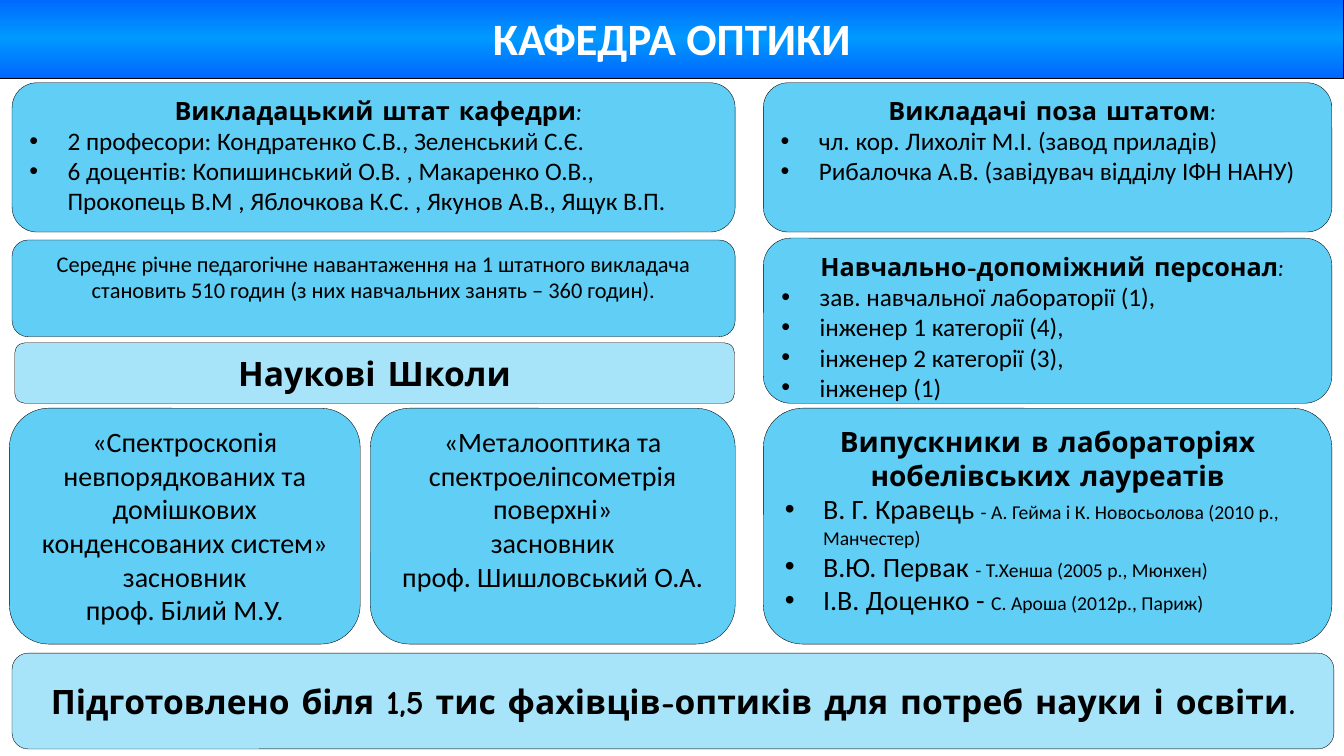
from copy import deepcopy
from lxml.etree import SubElement as Sub
from pptx import Presentation
from pptx.dml.color import RGBColor
from pptx.enum.shapes import MSO_SHAPE as Form
from pptx.enum.text import MSO_ANCHOR as Anchor, PP_ALIGN as Align
from pptx.oxml.ns import qn
from pptx.util import Inches, Pt

WIDE, HIGH = Inches(13.33), Inches(7.5)
LEFT, MID, RIGHT = 0.9, 27.55, 56.8
HALF, SIDE = 53.8, 42.3
TOP, NEXT, LOW = 10.95, 31.5, 54
SHORT, TALL = 19.75, 31.2
SOFT, FULL = 34, 62
BODY, HEAD = "Calibri", "Comic Neue"


def paint(part, code):
    part.rgb = RGBColor.from_string(code)


def shape(slide, form, left, top, width, height, line):
    item = slide.shapes.add_shape(
        form, int(WIDE * left / 100), int(HIGH * top / 100),
        int(WIDE * width / 100), int(HIGH * height / 100))
    item.shadow.inherit = False
    paint(item.line.color, "000000")
    item.line.width = Pt(line)
    item.text_frame.word_wrap = True
    return item


def card(slide, left, top, width, height, alpha=FULL):
    item = shape(slide, Form.ROUNDED_RECTANGLE, left, top, width, height, 0.25)
    item.fill.solid()
    paint(item.fill.fore_color, "00B0F0")
    tint = item.fill.fore_color._xFill.find(qn("a:srgbClr"))
    Sub(tint, qn("a:alpha")).set("val", str(alpha * 1000))
    item.text_frame.vertical_anchor = Anchor.TOP
    return item.text_frame


def start(frame):
    first = frame.paragraphs[0]
    return frame.add_paragraph() if first.runs else first


def write(para, text, size, font=BODY, bold=False, code="000000"):
    run = para.add_run()
    run.text = text
    run.font.size = Pt(size)
    run.font.name = font
    run.font.bold = bold
    paint(run.font.color, code)


def center(frame, text, size, font=BODY, bold=False, code="000000"):
    para = start(frame)
    para.alignment = Align.CENTER
    write(para, text, size, font, bold, code)


def bullet(frame, *runs):
    para = start(frame)
    para.alignment = Align.LEFT
    props = para._p.get_or_add_pPr()
    props.set("marL", str(Inches(0.38)))
    props.set("indent", str(-Inches(0.38)))
    Sub(props, qn("a:buFont")).set("typeface", "Arial")
    Sub(props, qn("a:buChar")).set("char", "•")
    for text, size in runs:
        write(para, text, size)


def banner(slide, text):
    item = shape(slide, Form.RECTANGLE, 0, -0.4, 100, 10.8, 0.75)
    item.fill.gradient()
    item.fill.gradient_angle = 90
    for stop, spot in zip(item.fill.gradient_stops, (0, 1)):
        paint(stop.color, "0066FF")
        stop.position = spot
    first = next(item._element.iter(qn("a:gs")))
    first.addnext(deepcopy(first))
    core = item.fill.gradient_stops[1]
    paint(core.color, "0099FF")
    core.position = 0.5
    item.text_frame.vertical_anchor = Anchor.MIDDLE
    center(item.text_frame, text, 32, bold=True, code="FFFFFF")


def strip(slide, left, top, width, height, text):
    frame = card(slide, left, top, width, height, SOFT)
    frame.vertical_anchor = Anchor.MIDDLE
    frame.word_wrap = False
    center(frame, text, 24, HEAD, True)


def school(slide, left, width, *lines):
    frame = card(slide, left, LOW, width, TALL)
    for line in lines:
        center(frame, line, 20)


def group(slide, left, top, width, height, title, *items):
    frame = card(slide, left, top, width, height)
    center(frame, title, 18, HEAD, True)
    for item in items:
        bullet(frame, (item, 18))


def alumni(slide, title, *people):
    frame = card(slide, RIGHT, LOW, SIDE, TALL)
    center(frame, title, 20, HEAD, True)
    for name, place in people:
        bullet(frame, (name, 20), (place, 14))


def main():
    deck = Presentation()
    deck.slide_width, deck.slide_height = WIDE, HIGH
    slide = deck.slides.add_slide(deck.slide_layouts[6])
    banner(slide, "КАФЕДРА ОПТИКИ")
    strip(slide, LEFT, 86.4, 98.35, 12.67,
          "Підготовлено біля 1,5 тис фахівців-оптиків для потреб науки і освіти.")
    alumni(slide, "Випускники в лабораторіях нобелівських лауреатів",
           ("В. Г. Кравець ", "- А. Гейма і К. Новосьолова (2010 р., Манчестер)"),
           ("В.Ю. Первак ", "- Т.Хенша (2005 р., Мюнхен)"),
           ("І.В. Доценко - ", "С. Ароша (2012р., Париж)"))
    strip(slide, 1.1, 45.35, 53.55, 8, "Наукові Школи")
    school(slide, 0.7, 26.1,
           "«Спектроскопія невпорядкованих та домішкових конденсованих систем»",
           "засновник", "проф. Білий М.У.")
    school(slide, MID, 27.15,
           "«Металооптика та спектроеліпсометрія поверхні»",
           "засновник", "проф. Шишловський О.А.")
    group(slide, LEFT, TOP, HALF, SHORT, " Викладацький штат кафедри:",
          "2 професори: Кондратенко С.В., Зеленський С.Є.",
          "6 доцентів: Копишинський О.В. , Макаренко О.В., "
          "Прокопець В.М , Яблочкова К.С. , Якунов А.В., Ящук В.П.")
    group(slide, RIGHT, TOP, SIDE, SHORT, " Викладачі поза штатом:",
          "чл. кор. Лихоліт М.І. (завод приладів)",
          "Рибалочка А.В. (завідувач відділу ІФН НАНУ)")
    group(slide, RIGHT, NEXT, SIDE, 21.85, " Навчально-допоміжний персонал:",
          "зав. навчальної лабораторії (1),", "інженер 1 категорії (4),",
          "інженер 2 категорії (3),", "інженер (1)")
    load = card(slide, LEFT, 31.75, HALF, 12.8)
    center(load, "Середнє річне педагогічне навантаження на 1 штатного викладача "
           "становить 510 годин (з них навчальних занять – 360 годин).", 16)
    deck.save("out.pptx")


if __name__ == "__main__":
    main()
